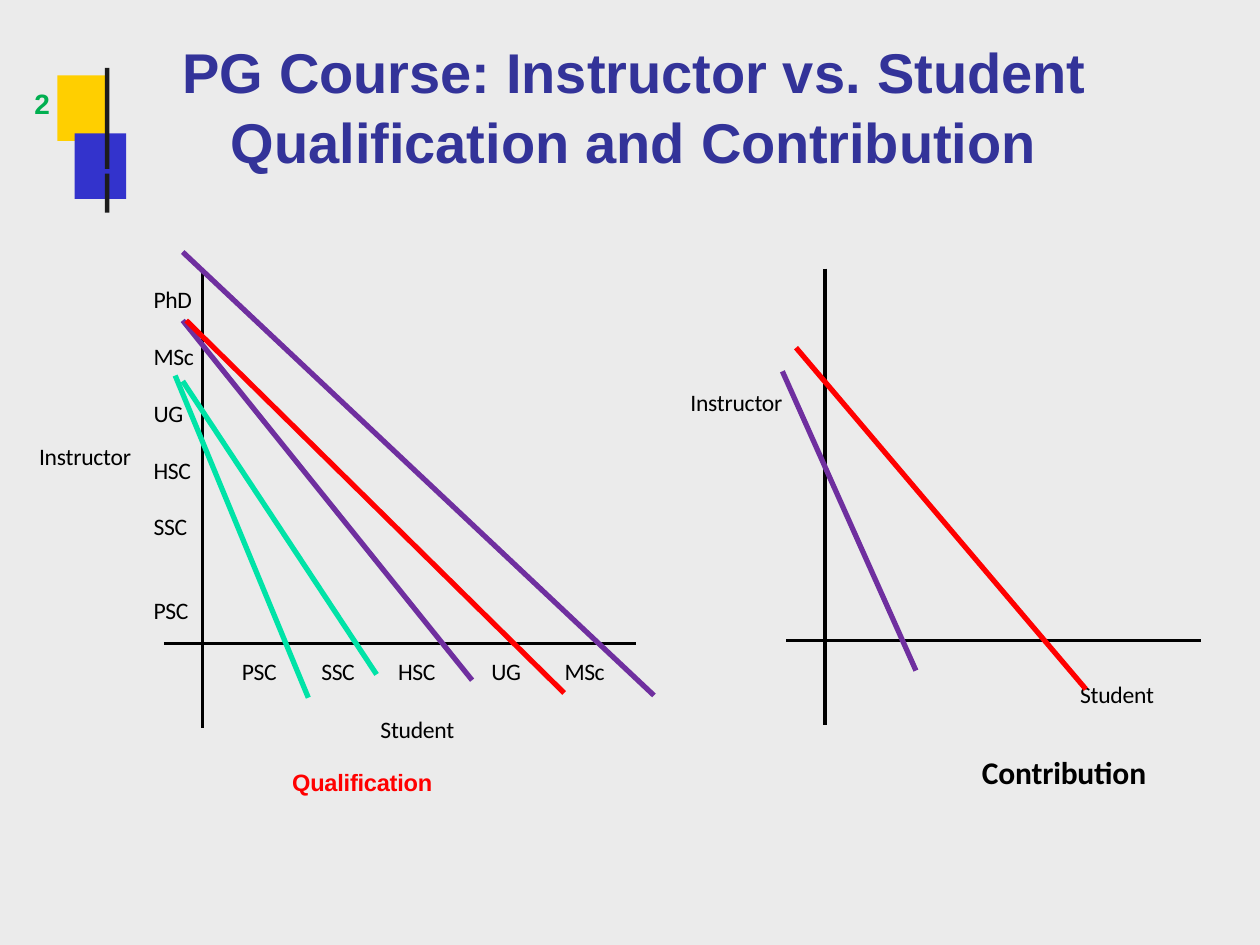
from lxml import etree
from pptx import Presentation
from pptx.dml.color import RGBColor
from pptx.enum.shapes import MSO_CONNECTOR, MSO_SHAPE
from pptx.enum.text import MSO_ANCHOR, MSO_AUTO_SIZE, PP_ALIGN
from pptx.oxml.ns import qn
from pptx.util import Pt

LINE = MSO_CONNECTOR.STRAIGHT
RECT = MSO_SHAPE.RECTANGLE
TOP = MSO_ANCHOR.TOP
FIXED = MSO_AUTO_SIZE.NONE
LEFT = PP_ALIGN.LEFT

GREY = RGBColor(0xEB, 0xEB, 0xEB)
GOLD = RGBColor(0xFF, 0xCF, 0x00)
BLUE = RGBColor(0x33, 0x33, 0xCC)
INK = RGBColor(0x1C, 0x1C, 0x1C)
NAVY = RGBColor(0x33, 0x33, 0x99)
LEAF = RGBColor(0x00, 0xAF, 0x50)
BLACK = RGBColor(0x00, 0x00, 0x00)
MINT = RGBColor(0x00, 0xE3, 0xA7)
PLUM = RGBColor(0x6F, 0x2F, 0x9F)
RED = RGBColor(0xFF, 0x00, 0x00)


class Deck:
    face, size = "Calibri", 13.5

    def __init__(self):
        self.show = Presentation()
        self.show.slide_width, self.show.slide_height = Pt(720), Pt(540)
        self.slide = self.show.slides.add_slide(self.show.slide_layouts[5])
        fill = self.slide.background.fill
        fill.solid()
        fill.fore_color.rgb = GREY

    def frame(self, shape, inset):
        box = shape.text_frame
        box.word_wrap = True
        box.auto_size = FIXED
        box.vertical_anchor = TOP
        box.margin_left, box.margin_top = Pt(inset), Pt(1.8)
        box.margin_right = box.margin_bottom = 0
        return box

    def run(self, para, text, size, color, face, bold, space):
        run = para.add_run()
        run.text = text
        font = run.font
        font.name, font.size, font.bold = face, Pt(size), bold
        font.color.rgb = color
        run._r.get_or_add_rPr().set("spc", str(round(space * 100)))

    def title(self, x, y, w, h, parts):
        shape = self.slide.shapes.title
        shape.left, shape.top, shape.width, shape.height = map(Pt, (x, y, w, h))
        para = self.frame(shape, 0).paragraphs[0]
        para.alignment = LEFT
        para.line_spacing = 1.04
        prop = para._p.get_or_add_pPr()
        prop.set("marL", str(Pt(71.3)))
        prop.set("indent", str(Pt(-27.4)))
        for text, space in parts:
            self.run(para, text, 32, NAVY, "Arial", True, space)

    def block(self, x, y, w, h, color):
        shape = self.slide.shapes.add_shape(RECT, *map(Pt, (x, y, w, h)))
        shape.shadow.inherit = False
        shape.fill.solid()
        shape.fill.fore_color.rgb = color
        shape.line.fill.background()

    def line(self, x1, y1, x2, y2, color=BLACK, width=3):
        line = self.slide.shapes.add_connector(LINE, *map(Pt, (x1, y1, x2, y2)))
        line.line.color.rgb = color
        line.line.width = Pt(width)
        etree.SubElement(line._element.spPr, qn("a:effectLst"))

    def label(self, x, y, w, h, texts, gap=0, tabs=(), size=size,
              color=BLACK, face=face, bold=False, space=-0.1):
        shape = self.slide.shapes.add_textbox(*map(Pt, (x, y, w, h)))
        box = self.frame(shape, 0.7)
        for i, text in enumerate(texts):
            para = box.add_paragraph() if i else box.paragraphs[0]
            if i:
                para.space_before = Pt(gap)
            if tabs:
                stops = etree.SubElement(para._p.get_or_add_pPr(), qn("a:tabLst"))
                for stop in tabs:
                    etree.SubElement(stops, qn("a:tab"), pos=str(Pt(stop)), algn="l")
            self.run(para, text, size, color, face, bold, space)


def main():
    deck = Deck()
    for spot in (
        (32.8, 43, 29.5, 37.5, GOLD),
        (42.6, 76.2, 29.5, 37.5, BLUE),
        (60, 99.2, 2.6, 22.3, INK),
        (60, 38.8, 2.6, 57.7, INK),
    ):
        deck.block(*spot)

    deck.title(60.5, 18, 585.4, 79.2, (
        ("PG Course: Instructor vs. ", 0),
        ("Student ", -0.1),
        ("Qualification and ", 0),
        ("Contribution", -0.1),
    ))
    deck.label(19, 47.5, 11, 21, ["2"], size=16, color=LEAF,
               face="Arial", bold=True, space=-0.5)

    for axis in (
        (115.8, 155.5, 115.8, 416),
        (93.6, 367.7, 363.6, 367.7),
        (449.3, 365.9, 686.2, 365.9),
        (471.3, 153.5, 471.3, 414),
    ):
        deck.line(*axis, width=2)
    deck.line(100.1, 214.6, 176.2, 398.7, MINT)

    for x, y, w, text in (
        (216.7, 406.8, 46, "Student"),
        (21.6, 250.5, 56.5, "Instructor"),
        (616.5, 386.7, 46, "Student"),
        (393.8, 219.6, 56.5, "Instructor"),
    ):
        deck.label(x, y, w, 18, [text])

    deck.label(137.5, 373.7, 112.5, 18, ["PSC\tSSC\tHSC"], tabs=(45.4, 89.3), space=-0.2)
    deck.label(280.1, 373.7, 67, 18, ["UG\tMSc"], tabs=(41.8,), space=-0.2)

    for y, h, texts, gap in (
        (161.3, 50.4, ["PhD", "MSc"], 16.2),
        (226.1, 18, ["UG"], 0),
        (258.5, 18, ["HSC"], 0),
        (290.9, 67, ["SSC", "PSC"], 31.6),
    ):
        deck.label(87.1, y, 26, h, texts, gap, space=-0.2)

    for trend in (
        (104.4, 217.8, 215.2, 385.4, MINT),
        (104.4, 183.1, 269.8, 388.7, PLUM),
        (106.4, 183.1, 322.4, 396, RED),
        (104.4, 144, 373.7, 397.4, PLUM),
    ):
        deck.line(*trend)

    deck.label(166.3, 437, 84.2, 18, ["Qualification"], color=RED,
               face="Arial", bold=True)
    deck.label(560.4, 428.6, 97.2, 23.8, ["Contribution"], size=18, bold=True)
    deck.line(447.1, 212.2, 523.4, 383.2, PLUM)
    deck.line(454.9, 198.7, 620.5, 393.8, RED)
    deck.show.save("out.pptx")


if __name__ == "__main__":
    main()
